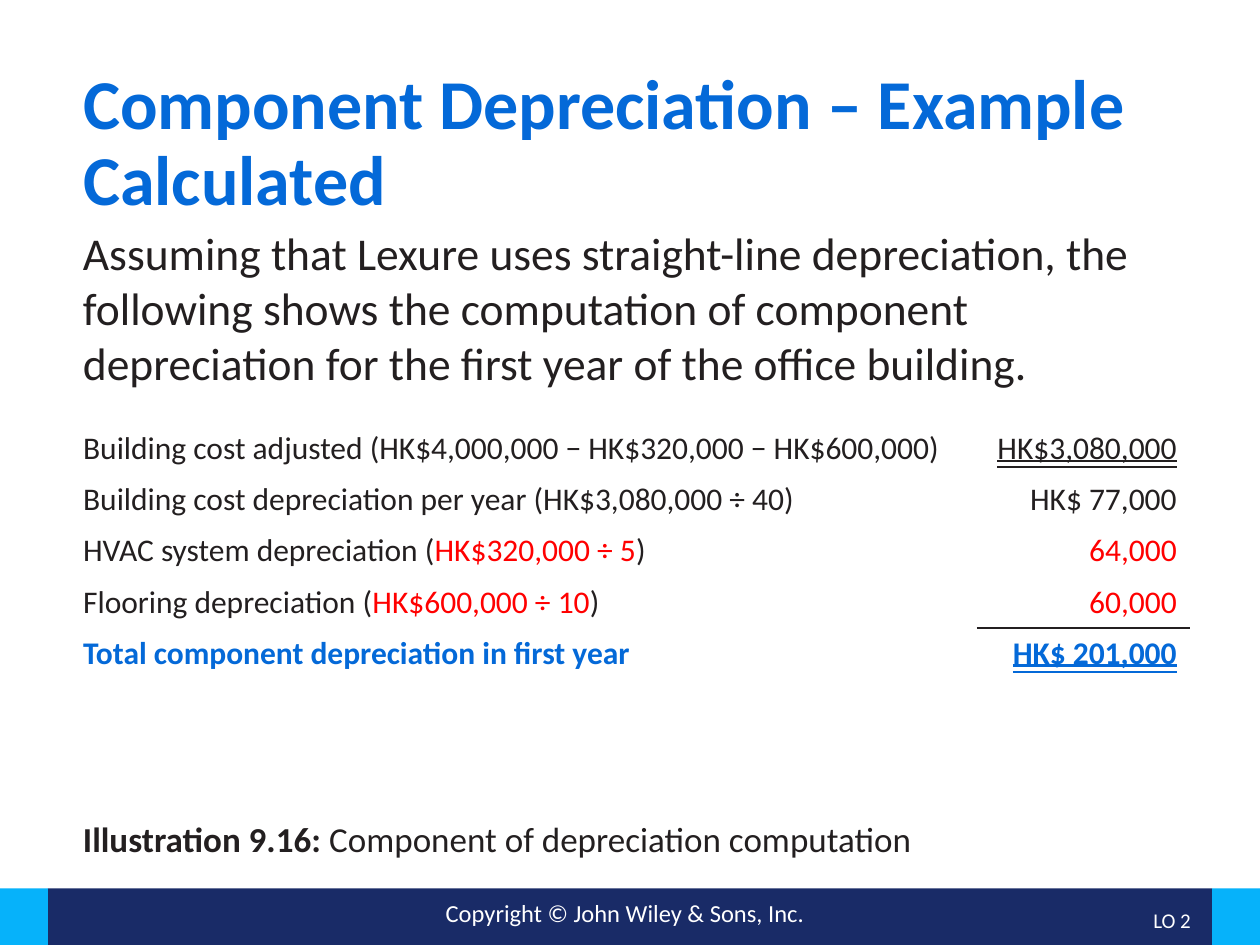
"""Build a slide that works out first-year component depreciation."""
from dataclasses import dataclass

from lxml.etree import SubElement
from pptx import Presentation
from pptx.dml.color import RGBColor
from pptx.enum.shapes import MSO_SHAPE as Preset
from pptx.enum.text import MSO_ANCHOR as Anchor, MSO_AUTO_SIZE as AutoSize
from pptx.enum.text import MSO_UNDERLINE as Underline, PP_ALIGN as Align
from pptx.oxml.ns import qn
from pptx.slide import Slide
from pptx.table import _Cell as Cell
from pptx.text.text import TextFrame
from pptx.util import Inches, Pt

FONT = "Calibri"
INK = RGBColor(0x23, 0x1F, 0x20)
BLUE = RGBColor(0x04, 0x69, 0xD8)
RED = RGBColor(0xFF, 0x00, 0x00)
WHITE = RGBColor(0xFF, 0xFF, 0xFF)
NAVY = RGBColor(0x19, 0x2B, 0x67)
CYAN = RGBColor(0x06, 0xB2, 0xFA)

SLIDE_WIDTH, SLIDE_HEIGHT = Inches(10), Inches(7.5)
GRID_COLUMNS, GRID_ROWS = 100, 75
MARGIN = 5.6
CONTENT_WIDTH = GRID_COLUMNS - 2 * MARGIN
FOOTER_TOP, FOOTER_END = 70.5, 3.8
TABLE_TOP, TABLE_HEIGHT, AMOUNT_WIDTH = 33.6, 20.3, 16.8


@dataclass(frozen=True)
class Area:
    """A rectangle in grid columns and rows."""
    left: float
    top: float
    width: float
    height: float

    def lengths(self) -> tuple[int, int, int, int]:
        """Return left, top, width and height as slide lengths."""
        return across(self.left), down(self.top), across(self.width), down(self.height)


@dataclass(frozen=True)
class Piece:
    """A stretch of text in one format."""
    text: str
    color: RGBColor = INK
    bold: bool = False
    underline: Underline = Underline.NONE


@dataclass(frozen=True)
class Label:
    """A text box with its pieces and paragraph format."""
    area: Area
    size: float
    pieces: tuple[Piece, ...]
    align: Align = Align.LEFT
    anchor: Anchor = Anchor.TOP


@dataclass(frozen=True)
class Entry:
    """A table row: description and amount."""
    description: tuple[Piece, ...]
    amount: Piece


LABELS = (
    Label(Area(MARGIN, 17.4, CONTENT_WIDTH, 15.5), 26, (
        Piece("Assuming that Lexure uses straight-line depreciation, the following shows "
              "the computation of component depreciation for the first year of the "
              "office building."),)),
    Label(Area(MARGIN, 64.4, 87.9, 4.7), 20, (
        Piece("Illustration 9.16: ", bold=True),
        Piece("Component of depreciation computation"))),
    Label(Area(25, 70.8, 49.2, 3.4), 14,
          (Piece("Copyright © John Wiley & Sons, Inc.", WHITE),), Align.CENTER),
    Label(Area(87.3, 71, 8.2, 4), 12, (Piece("LO 2", WHITE),),
          Align.RIGHT, Anchor.MIDDLE),
)

ENTRIES = (
    Entry((Piece("Building cost adjusted (HK$4,000,000 − HK$320,000 − HK$600,000)"),),
          Piece("HK$3,080,000", underline=Underline.DOUBLE_LINE)),
    Entry((Piece("Building cost depreciation per year (HK$3,080,000 ÷ 40)"),),
          Piece("HK$ 77,000")),
    Entry((Piece("HVAC system depreciation ("), Piece("HK$320,000 ÷ 5", RED), Piece(")")),
          Piece("64,000", RED)),
    Entry((Piece("Flooring depreciation ("), Piece("HK$600,000 ÷ 10", RED), Piece(")")),
          Piece("60,000", RED)),
    Entry((Piece("Total component depreciation in first year", BLUE, True),),
          Piece("HK$ 201,000", BLUE, True, Underline.DOUBLE_LINE)),
)


def across(columns: float) -> int:
    """Turn grid columns into a length."""
    return round(SLIDE_WIDTH * columns / GRID_COLUMNS)


def down(rows: float) -> int:
    """Turn grid rows into a length."""
    return round(SLIDE_HEIGHT * rows / GRID_ROWS)


def write(frame: TextFrame, pieces: tuple[Piece, ...], size: float,
          align: Align = Align.LEFT) -> None:
    """Write pieces as runs of the first paragraph."""
    para = frame.paragraphs[0]
    para.alignment = align
    for piece in pieces:
        span = para.add_run()
        span.text = piece.text
        font = span.font
        font.name, font.size, font.bold = FONT, Pt(size), piece.bold
        font.underline = piece.underline
        font.color.rgb = piece.color


def add_title(page: Slide) -> None:
    """Place and format the title placeholder."""
    title = page.shapes.title
    title.left, title.top, title.width, title.height = Area(
        MARGIN, 5, CONTENT_WIDTH, 11.4).lengths()
    frame = title.text_frame
    frame.auto_size, frame.vertical_anchor = AutoSize.NONE, Anchor.TOP
    write(frame, (Piece("Component Depreciation – Example Calculated", BLUE, True),), 40)
    frame.paragraphs[0].line_spacing = 0.9


def add_bar(page: Slide, left: float, width: float, color: RGBColor) -> None:
    """Draw one part of the footer band."""
    area = Area(left, FOOTER_TOP, width, GRID_ROWS - FOOTER_TOP)
    bar = page.shapes.add_shape(Preset.RECTANGLE, *area.lengths())
    bar.shadow.inherit = False
    bar.fill.solid()
    bar.fill.fore_color.rgb = color
    bar.line.fill.background()


def add_label(page: Slide, label: Label) -> None:
    """Draw a wrapped text box."""
    frame = page.shapes.add_textbox(*label.area.lengths()).text_frame
    frame.word_wrap, frame.vertical_anchor = True, label.anchor
    write(frame, label.pieces, label.size, label.align)


def add_border(cell: Cell, side: str) -> None:
    """Rule one side of a cell."""
    properties = cell._tc.get_or_add_tcPr()
    line = SubElement(properties, qn(f"a:{side}"), w=str(Pt(1)))
    fill = SubElement(line, qn("a:solidFill"))
    SubElement(fill, qn("a:srgbClr"), val=str(INK))


def add_computation(page: Slide) -> None:
    """Draw the table of costs with a rule above the total."""
    area = Area(MARGIN, TABLE_TOP, CONTENT_WIDTH, TABLE_HEIGHT)
    table = page.shapes.add_table(len(ENTRIES), 2, *area.lengths()).table
    table.first_row = table.horz_banding = False
    table.columns[0].width = across(CONTENT_WIDTH - AMOUNT_WIDTH)
    table.columns[1].width = across(AMOUNT_WIDTH)
    for row, entry in enumerate(ENTRIES):
        contents = ((entry.description, Align.LEFT), ((entry.amount,), Align.RIGHT))
        for column, (pieces, align) in enumerate(contents):
            cell = table.cell(row, column)
            cell.vertical_anchor = Anchor.MIDDLE
            write(cell.text_frame, pieces, 18, align)
    total = len(ENTRIES) - 1
    add_border(table.cell(total - 1, 1), "lnB")
    add_border(table.cell(total, 1), "lnT")
    for cell in table.iter_cells():
        cell.fill.background()


def main() -> None:
    """Build and save the deck."""
    deck = Presentation()
    deck.slide_width, deck.slide_height = SLIDE_WIDTH, SLIDE_HEIGHT
    page = deck.slides.add_slide(deck.slide_layouts.get_by_name("Title Only"))
    add_bar(page, FOOTER_END, GRID_COLUMNS - 2 * FOOTER_END, NAVY)
    for left in (0, GRID_COLUMNS - FOOTER_END):
        add_bar(page, left, FOOTER_END, CYAN)
    add_title(page)
    for label in LABELS:
        add_label(page, label)
    add_computation(page)
    deck.save("out.pptx")


if __name__ == "__main__":
    main()
